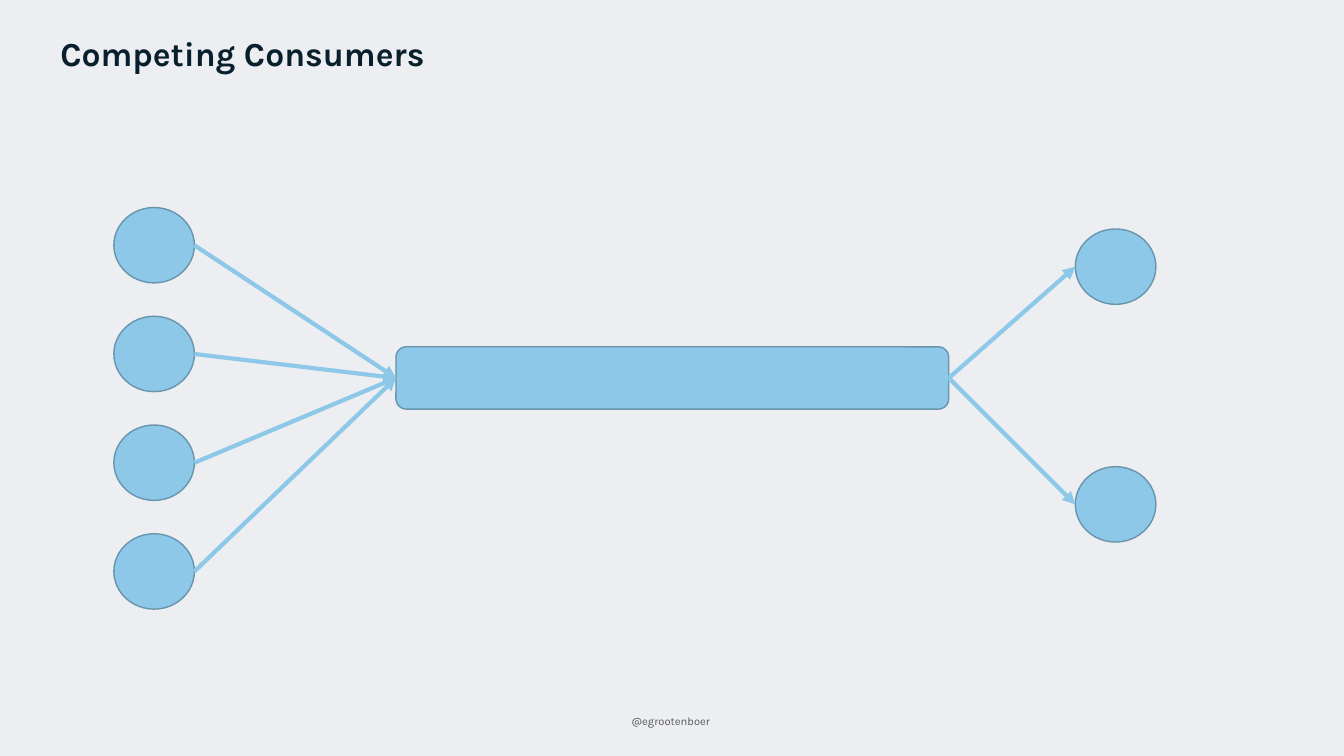
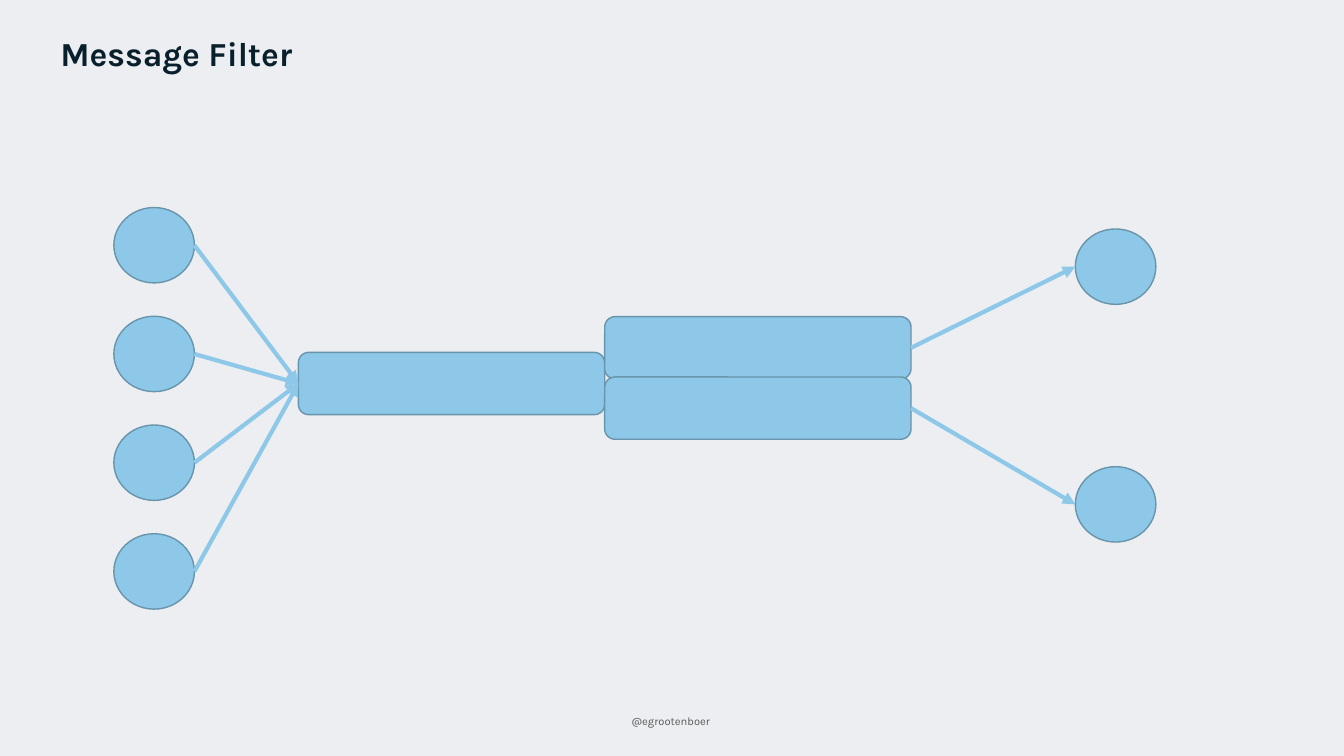
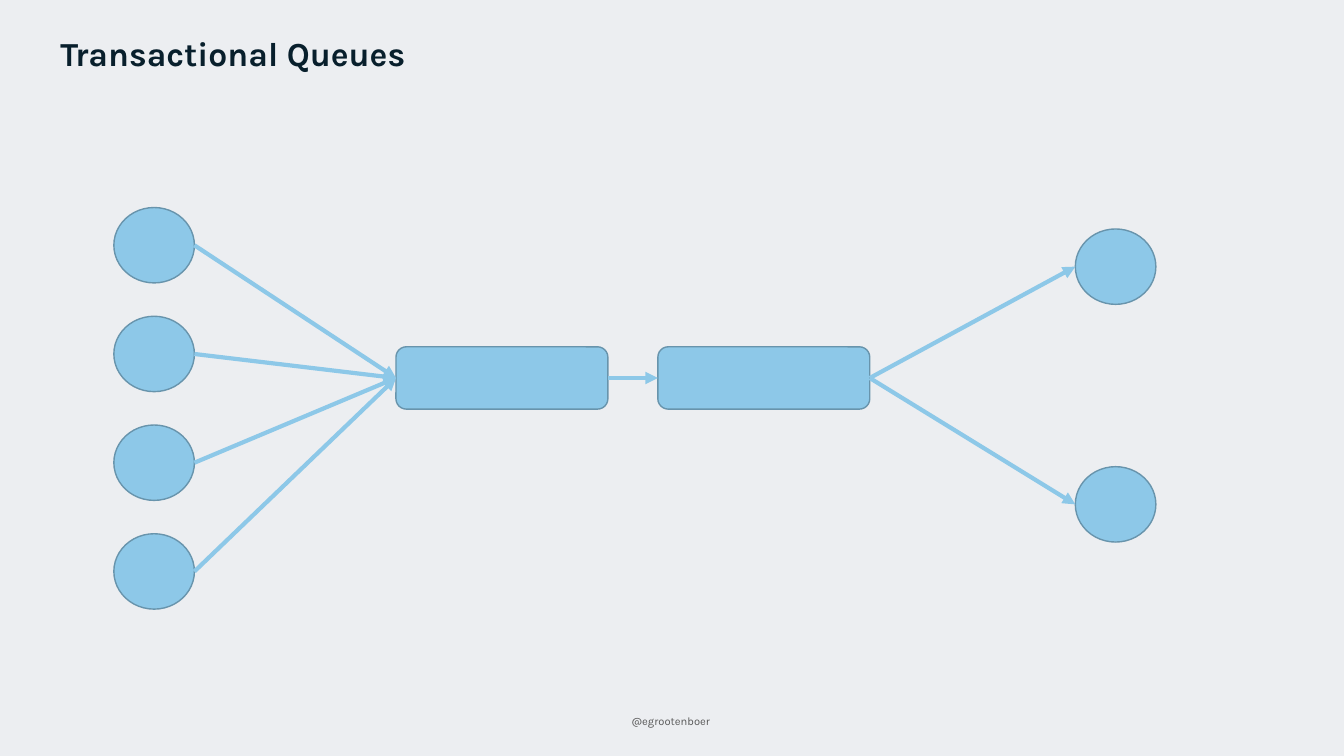
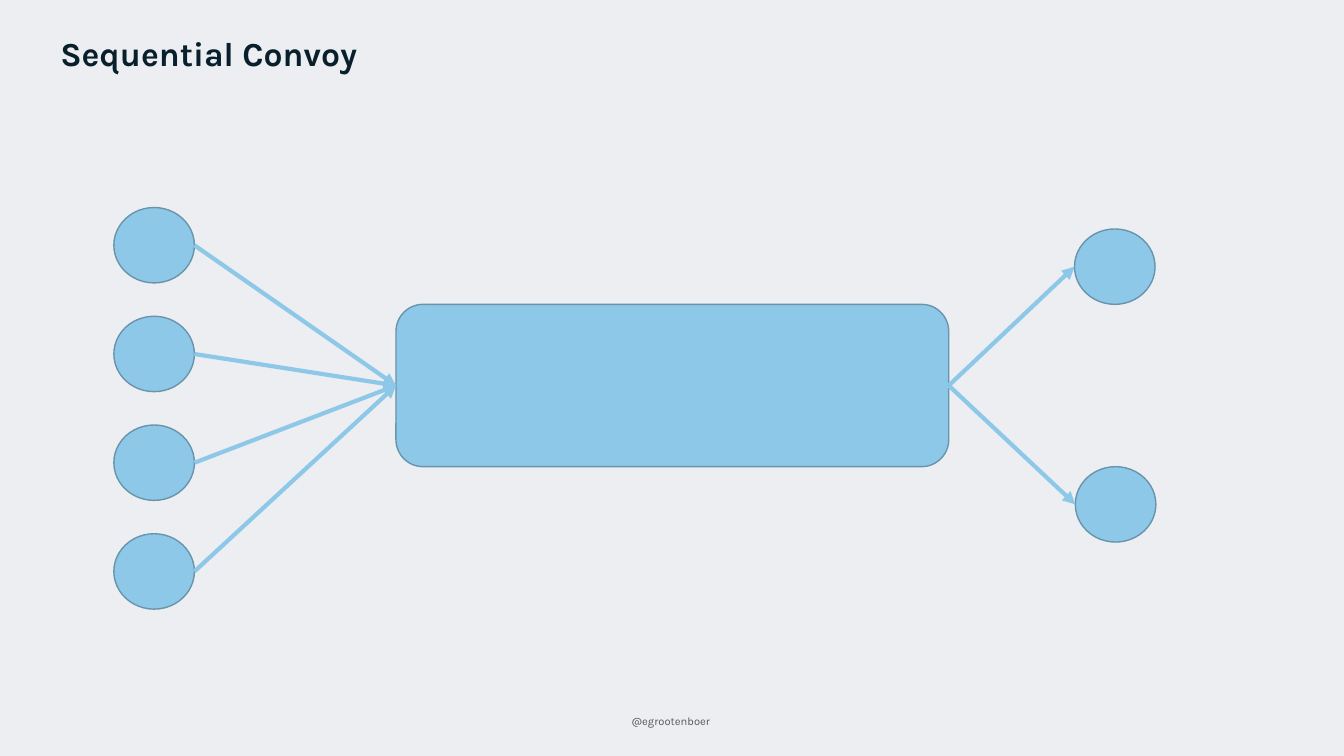
from lxml.etree import SubElement
from pptx import Presentation
from pptx.dml.color import RGBColor
from pptx.enum.shapes import MSO_CONNECTOR as Line, MSO_SHAPE as Preset
from pptx.enum.text import MSO_ANCHOR as Anchor
from pptx.oxml.ns import qn
from pptx.util import Cm, Pt

COLORS = {
    "background": "ECEEF1",
    "title": "081F2C",
    "footer": "595959",
    "fill": "8DC8E8",
    "outline": "6894AC",
}
FONT = "Karla"
CIRCLE_WIDTH, CIRCLE_HEIGHT = 2.03, 1.9
SENDER_LEFT, SENDER_TOP, SENDER_STEP, SENDER_COUNT = 2.87, 5.23, 2.74, 4
RECEIVER_LEFT, RECEIVER_TOPS = 27.1, (5.77, 11.76)
QUEUE_LEFT, QUEUE_TOP, QUEUE_HEIGHT = 9.98, 8.74, 1.57
QUEUE_WIDTH = 13.93
LEFT_SIDE, RIGHT_SIDE = 1, 3
ELLIPSE_SITES = {LEFT_SIDE: 2, RIGHT_SIDE: 6}


def color(name):
    return RGBColor.from_string(COLORS[name])


def add_text(slide, text, left, top, width, height, *, size, color_name,
             bold=False, wrap=True, anchor=Anchor.TOP, line_spacing=1.0):
    frame = slide.shapes.add_textbox(Cm(left), Cm(top), Cm(width), Cm(height)).text_frame
    frame.word_wrap = wrap
    frame.vertical_anchor = anchor
    paragraph = frame.paragraphs[0]
    paragraph.text = text
    paragraph.line_spacing = line_spacing
    font = paragraph.font
    font.name, font.size, font.bold = FONT, Pt(size), bold
    font.color.rgb = color(color_name)


def add_node(slide, preset, left, top, width, height):
    shape = slide.shapes.add_shape(preset, Cm(left), Cm(top), Cm(width), Cm(height))
    shape.shadow.inherit = False
    shape.fill.solid()
    shape.fill.fore_color.rgb = color("fill")
    shape.line.color.rgb = color("outline")
    shape.line.width = Pt(1)
    return shape


def add_circle(slide, left, top):
    return add_node(slide, Preset.OVAL, left, top, CIRCLE_WIDTH, CIRCLE_HEIGHT)


def add_queue(slide, left=QUEUE_LEFT, top=QUEUE_TOP, width=QUEUE_WIDTH, height=QUEUE_HEIGHT):
    return add_node(slide, Preset.ROUNDED_RECTANGLE, left, top, width, height)


def add_arrow(slide, source, target):
    connector = slide.shapes.add_connector(Line.STRAIGHT, 0, 0, 0, 0)
    connector.begin_connect(source, RIGHT_SIDE)
    connector.end_connect(target, LEFT_SIDE)
    for tag, shape, side in (("a:stCxn", source, RIGHT_SIDE), ("a:endCxn", target, LEFT_SIDE)):
        if shape.auto_shape_type == Preset.OVAL:
            connector.element.find(".//" + qn(tag)).set("idx", str(ELLIPSE_SITES[side]))
    connector.line.color.rgb = color("fill")
    connector.line.width = Pt(3)
    SubElement(connector.line._get_or_add_ln(), qn("a:tailEnd"), type="triangle")
    SubElement(connector.element.spPr, qn("a:effectLst"))


def add_slide(presentation, title):
    slide = presentation.slides.add_slide(presentation.slide_layouts[6])
    add_text(slide, "@egrootenboer", 15.67, 17.88, 2.51, 0.61,
             size=8, color_name="footer", wrap=False)
    add_text(slide, title, 1.27, 0.61, 31.32, 1.57, size=24, color_name="title",
             bold=True, anchor=Anchor.MIDDLE, line_spacing=0.9)
    return slide


def add_flow(slide, entry, exits, receiver_lefts=(RECEIVER_LEFT, RECEIVER_LEFT)):
    for index in range(SENDER_COUNT):
        sender = add_circle(slide, SENDER_LEFT, SENDER_TOP + index * SENDER_STEP)
        add_arrow(slide, sender, entry)
    for queue, left, top in zip(exits, receiver_lefts, RECEIVER_TOPS):
        add_arrow(slide, queue, add_circle(slide, left, top))


def add_competing_consumers(presentation):
    slide = add_slide(presentation, "Competing Consumers")
    queue = add_queue(slide)
    add_flow(slide, queue, (queue, queue))


def add_message_filter(presentation):
    slide = add_slide(presentation, "Message Filter")
    left, width = 7.52, 7.72
    topic = add_queue(slide, left, 8.88, width)
    filters = [add_queue(slide, left + width, top, width) for top in (7.98, 9.5)]
    add_flow(slide, topic, filters)


def add_transactional_queues(presentation):
    slide = add_slide(presentation, "Transactional Queues")
    width, gap = 5.34, 1.26
    first, second = [add_queue(slide, QUEUE_LEFT + index * (width + gap), width=width)
                     for index in range(2)]
    add_arrow(slide, first, second)
    add_flow(slide, first, (second, second))


def add_sequential_convoy(presentation):
    slide = add_slide(presentation, "Sequential Convoy")
    queue = add_queue(slide, top=7.67, height=4.09)
    add_flow(slide, queue, (queue, queue), (27.08, RECEIVER_LEFT))


def main():
    presentation = Presentation()
    presentation.slide_width, presentation.slide_height = Cm(33.87), Cm(19.05)
    background = presentation.slide_master.background.fill
    background.solid()
    background.fore_color.rgb = color("background")
    add_competing_consumers(presentation)
    add_message_filter(presentation)
    add_transactional_queues(presentation)
    add_sequential_convoy(presentation)
    presentation.save("out.pptx")


if __name__ == "__main__":
    main()
